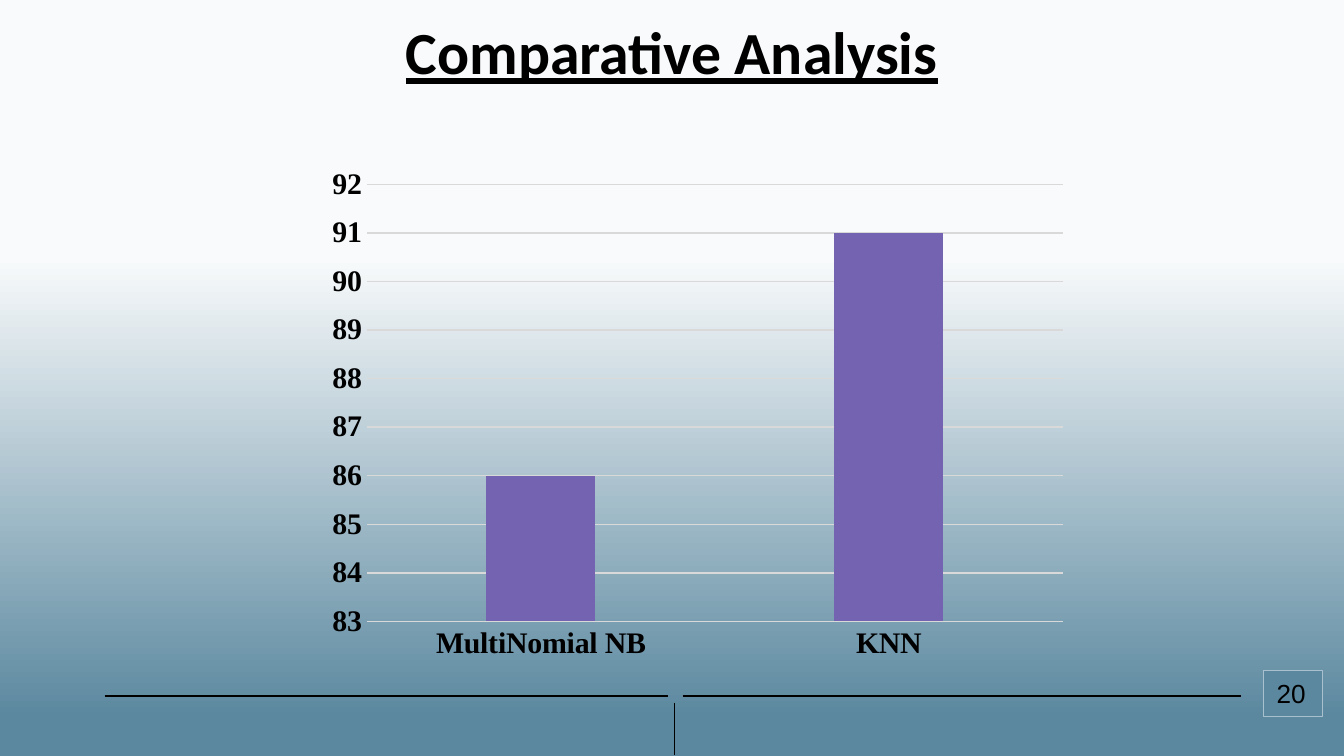
import pptx
import pptx.chart.data
import pptx.dml.color
import pptx.enum.chart
import pptx.enum.shapes
import pptx.enum.text
import pptx.oxml
import pptx.oxml.ns
import pptx.util
from dataclasses import dataclass
from lxml import etree

Inches = pptx.util.Inches
Pt = pptx.util.Pt
qn = pptx.oxml.ns.qn


@dataclass(frozen=True)
class Theme:
    ink: str = "000000"
    bar: str = "7363B0"
    grid: str = "D9D9D9"
    box: str = "5B889F"
    edge: str = "A9C1CE"
    stops: tuple = ((5, "5B889F"), (66, "F8FAFB"), (100, "FBFCFD"))
    title: int = 32
    axis: int = 16
    page: int = 14
    label: int = 10
    thin: float = 0.75


theme = Theme()


def color(code):
    return pptx.dml.color.RGBColor.from_string(code)


def apply(item, values):
    for name, value in values.items():
        setattr(item, name, value)


def style(font, face, size, **more):
    apply(font, {"name": face, "size": Pt(size), **more})
    font.color.rgb = color(theme.ink)


def stroke(line, code):
    line.color.rgb = color(code)
    line.width = Pt(theme.thin)


def paint(slide):
    fill = slide.background.fill
    fill.gradient()
    fill.gradient_angle = 90
    stops = slide.element.find(".//" + qn("a:gsLst"))
    for old in list(stops):
        stops.remove(old)
    for place, code in theme.stops:
        stop = etree.SubElement(stops, qn("a:gs"), pos=str(place * 1000))
        etree.SubElement(stop, qn("a:srgbClr"), val=code)


def add_line(slide, start, end):
    kind = pptx.enum.shapes.MSO_CONNECTOR.STRAIGHT
    rule = slide.shapes.add_connector(kind, *map(Inches, start + end))
    stroke(rule.line, theme.ink)
    etree.SubElement(rule.element.spPr, qn("a:effectLst"))


def set_title(slide, text):
    title = slide.shapes.title
    apply(title, {"left": Inches(0.78), "top": Inches(0.11),
                  "width": Inches(8.44), "height": Inches(0.54)})
    frame = title.text_frame
    frame.text = text
    apply(frame, {"margin_left": 0, "margin_top": 0, "margin_right": 0,
                  "margin_bottom": 0, "word_wrap": True,
                  "auto_size": pptx.enum.text.MSO_AUTO_SIZE.NONE,
                  "vertical_anchor": pptx.enum.text.MSO_ANCHOR.MIDDLE})
    para = frame.paragraphs[0]
    para.alignment = pptx.enum.text.PP_ALIGN.CENTER
    style(para.runs[0].font, "Calibri", theme.title, bold=True, underline=True)


def add_bars(slide, cats, vals):
    data = pptx.chart.data.CategoryChartData()
    data.categories = cats
    data.add_series("Series 1", vals)
    kind = pptx.enum.chart.XL_CHART_TYPE.COLUMN_CLUSTERED
    area = map(Inches, (2.36, 1.17, 5.66, 3.82))
    chart = slide.shapes.add_chart(kind, *area, data).chart
    apply(chart, {"has_title": False, "has_legend": False})
    style(chart.font, "Arial", theme.label)

    plot = chart.plots[0]
    apply(plot, {"gap_width": 219, "overlap": -27, "vary_by_categories": False})
    fill = plot.series[0].format.fill
    fill.solid()
    fill.fore_color.rgb = color(theme.bar)

    none = pptx.enum.chart.XL_TICK_MARK.NONE
    for axis in (chart.category_axis, chart.value_axis):
        apply(axis, {"major_tick_mark": none, "minor_tick_mark": none})
        style(axis.tick_labels.font, "Times New Roman", theme.axis, bold=True)
    stroke(chart.category_axis.format.line, theme.grid)
    scale = chart.value_axis
    apply(scale, {"minimum_scale": 83, "maximum_scale": 92, "major_unit": 1,
                  "has_major_gridlines": True})
    scale.format.line.fill.background()
    stroke(scale.major_gridlines.format.line, theme.grid)


def add_page(slide, text):
    kind = pptx.enum.shapes.MSO_SHAPE.RECTANGLE
    box = slide.shapes.add_shape(kind, *map(Inches, (9.4, 4.99, 0.44, 0.34)))
    box.shadow.inherit = False
    box.fill.solid()
    box.fill.fore_color.rgb = color(theme.box)
    stroke(box.line, theme.edge)
    frame = box.text_frame
    frame.text = text
    apply(frame, {"auto_size": pptx.enum.text.MSO_AUTO_SIZE.SHAPE_TO_FIT_TEXT,
                  "vertical_anchor": pptx.enum.text.MSO_ANCHOR.TOP})
    para = frame.paragraphs[0]
    para.alignment = pptx.enum.text.PP_ALIGN.LEFT
    style(para.runs[0].font, "Arial", theme.page)


def main():
    deck = pptx.Presentation()
    wide = Inches(10)
    apply(deck, {"slide_width": wide, "slide_height": wide * 9 // 16})
    slide = deck.slides.add_slide(deck.slide_layouts[5])
    paint(slide)
    for start, end in (((0.78, 5.18), (4.97, 5.18)),
                       ((5.08, 5.18), (9.23, 5.18)),
                       ((5.02, 5.23), (5.02, 5.62))):
        add_line(slide, start, end)
    set_title(slide, "Comparative Analysis")
    add_bars(slide, ("MultiNomial NB", "KNN"), (86, 91))
    add_page(slide, "20")
    deck.save("out.pptx")


if __name__ == "__main__":
    main()
